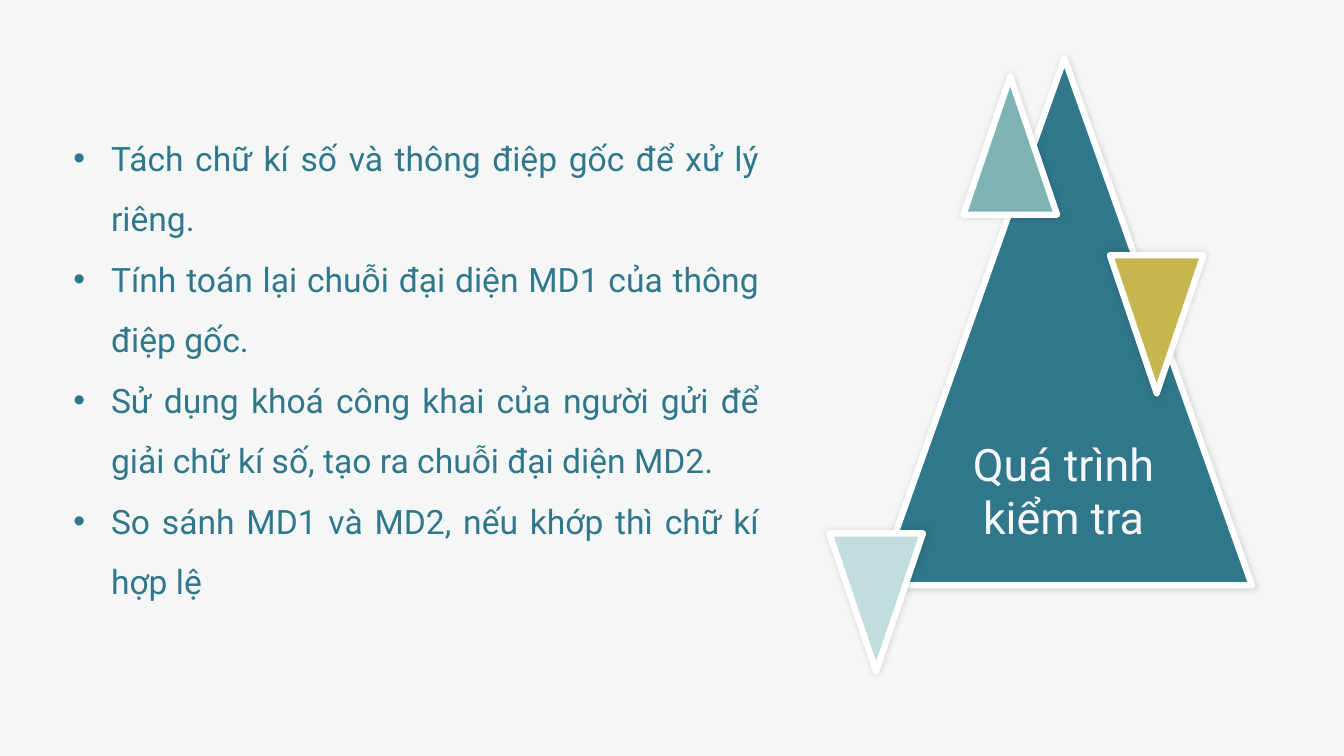
from lxml.etree import SubElement
from pptx import Presentation
from pptx.dml.color import RGBColor
from pptx.enum.shapes import MSO_SHAPE as Shape
from pptx.enum.text import MSO_ANCHOR as Anchor, MSO_AUTO_SIZE as AutoSize, PP_ALIGN as Align
from pptx.oxml.ns import qn
from pptx.util import Cm, Pt

COLORS = {
    "background": "F5F7F6",
    "outline": "FFFFFF",
    "shadow": "000000",
    "teal": "30778B",
    "soft_teal": "7EB4B4",
    "pale_teal": "C1DDDE",
    "gold": "C5B64F",
}

STEPS = [
    "Tách chữ kí số và thông điệp gốc để xử lý riêng.",
    "Tính toán lại chuỗi đại diện MD1 của thông điệp gốc.",
    "Sử dụng khoá công khai của người gửi để giải chữ kí số, tạo ra chuỗi đại diện MD2.",
    "So sánh MD1 và MD2, nếu khớp thì chữ kí hợp lệ",
]

SMALL_WIDTH, SMALL_HEIGHT = 2.36, 3.48
SMALL_TRIANGLES = [
    (27.97, 6.43, "gold", 180),
    (24.28, 1.93, "soft_teal", 0),
    (20.9, 13.44, "pale_teal", 180),
]


class SlideBuilder:
    font = "Roboto"

    def __init__(self, deck):
        self.page = deck.slides.add_slide(deck.slide_layouts[5])
        fill = self.page.background.fill
        fill.solid()
        fill.fore_color.rgb = self.color("background")

    def color(self, name):
        return RGBColor.from_string(COLORS[name])

    def format_runs(self, para, size, color):
        for span in para.runs:
            span.font.name = self.font
            span.font.size = Pt(size)
            span.font.color.rgb = self.color(color)

    def triangle(self, left, top, width, height, color, rotation=0):
        shape = self.page.shapes.add_shape(
            Shape.ISOSCELES_TRIANGLE, Cm(left), Cm(top), Cm(width), Cm(height))
        shape.rotation = rotation
        shape.fill.solid()
        shape.fill.fore_color.rgb = self.color(color)
        shape.line.color.rgb = self.color("outline")
        shape.line.width = Pt(4.5)
        self.soft_shadow(shape)

    def soft_shadow(self, shape):
        shape.shadow.inherit = False
        effects = shape._element.spPr.find(qn("a:effectLst"))
        shadow = SubElement(effects, qn("a:outerShdw"), blurRad=str(Pt(5)),
                            dist="0", dir="0", algn="ctr", rotWithShape="0")
        tone = SubElement(shadow, qn("a:srgbClr"), val=COLORS["shadow"])
        SubElement(tone, qn("a:alpha"), val="15000")

    def title(self, text, left, top, width, height):
        box = self.page.shapes.title
        self.page.shapes._spTree.append(box._element)
        box.left, box.top, box.width, box.height = Cm(left), Cm(top), Cm(width), Cm(height)
        frame = box.text_frame
        frame.text = text
        frame.word_wrap = True
        frame.auto_size = AutoSize.NONE
        frame.vertical_anchor = Anchor.TOP
        para = frame.paragraphs[0]
        para.alignment = Align.CENTER
        self.format_runs(para, 32, "background")

    def bullets(self, items, left, top, width, height):
        box = self.page.shapes.add_textbox(Cm(left), Cm(top), Cm(width), Cm(height))
        frame = box.text_frame
        frame.word_wrap = True
        frame.text = "\n".join(items)
        for para in frame.paragraphs:
            para.alignment = Align.JUSTIFY
            para.line_spacing = 1.5
            props = para._p.get_or_add_pPr()
            props.set("marL", str(Cm(0.95)))
            props.set("indent", str(-Cm(0.95)))
            SubElement(props, qn("a:buFont"), typeface="Arial")
            SubElement(props, qn("a:buChar"), char="•")
            self.format_runs(para, 24, "teal")


def main():
    deck = Presentation()
    deck.slide_width, deck.slide_height = Cm(33.87), Cm(19.05)
    slide = SlideBuilder(deck)
    slide.triangle(22.1, 1.47, 9.45, 13.28, "teal")
    for left, top, color, rotation in SMALL_TRIANGLES:
        slide.triangle(left, top, SMALL_WIDTH, SMALL_HEIGHT, color, rotation)
    slide.title("Quá trình kiểm tra", 24, 10.87, 5.61, 3)
    slide.bullets(STEPS, 1.6, 2.84, 17.78, 12.37)
    deck.save("out.pptx")


if __name__ == "__main__":
    main()
